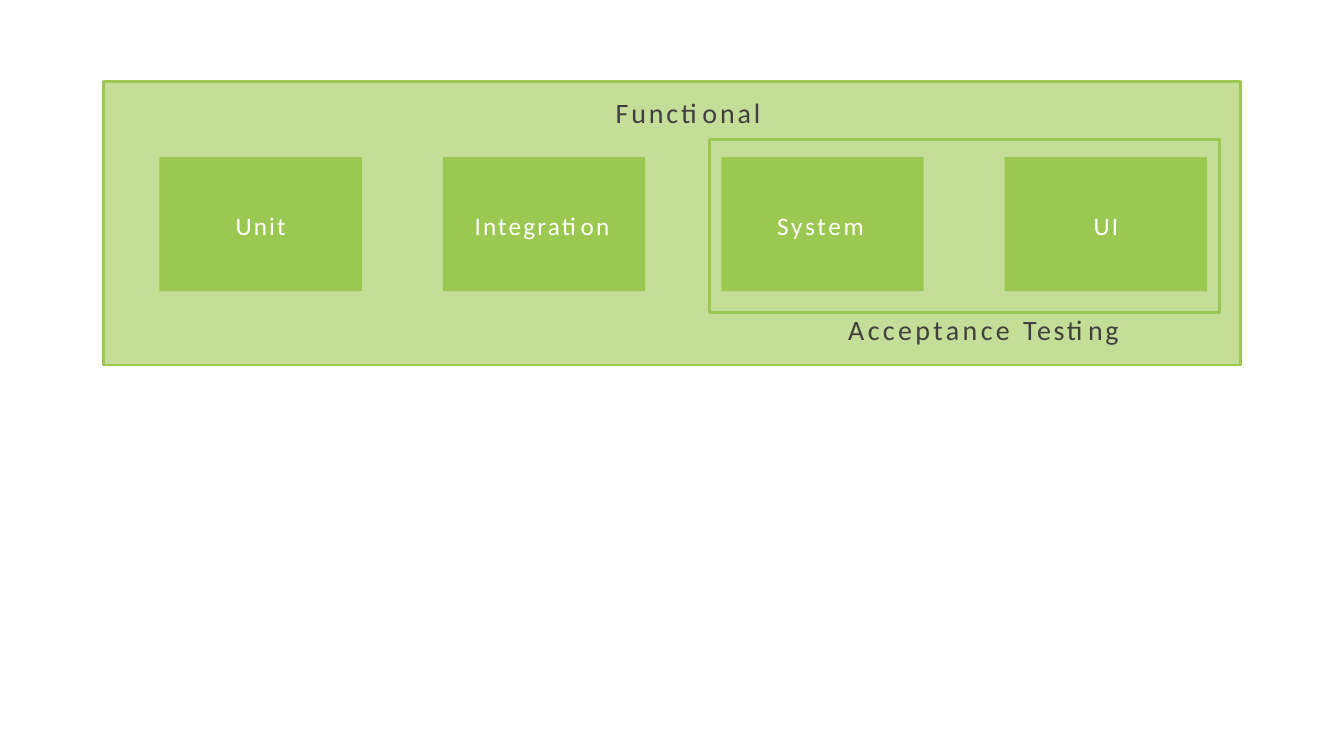
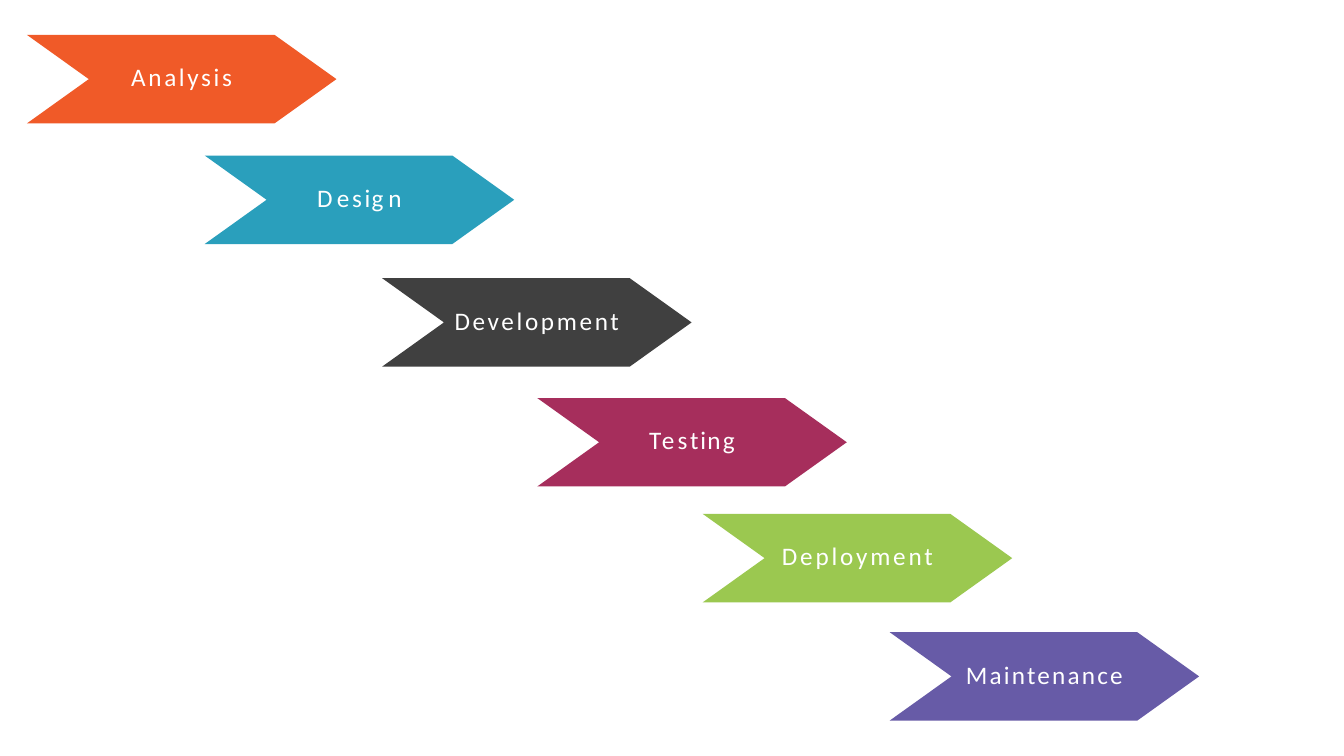
from pptx import Presentation
from pptx import util as u
from pptx.dml.color import RGBColor
from pptx.enum import shapes, text

GREEN = RGBColor(0x9B, 0xC8, 0x50)
PALE_GREEN = RGBColor(0xC3, 0xDE, 0x96)
ORANGE = RGBColor(0xF0, 0x5A, 0x28)
TEAL = RGBColor(0x2A, 0x9F, 0xBC)
CHARCOAL = RGBColor(0x40, 0x40, 0x40)
CRIMSON = RGBColor(0xA6, 0x2E, 0x5C)
PURPLE = RGBColor(0x67, 0x5B, 0xA7)
WHITE = RGBColor(0xFF, 0xFF, 0xFF)

FONT = "Calibri"
RECTANGLE = shapes.MSO_SHAPE.RECTANGLE
CHEVRON = shapes.MSO_SHAPE.CHEVRON

# Every text is a list of (letters, spacing in points).
FUNCTIONAL = [("Functional", 2)]
ACCEPTANCE = [("Acceptance ", 2.4), ("Testing", 1.9)]

# text, right margin in cm
LEVELS = [
    ([("Unit", 1.5)], 0),
    ([("Integration", 1.6)], 0.1),
    ([("System", 2)], 0.1),
    ([("UI", 1.6)], 0),
]

DESIGN = [("D", 3), ("es", 1.9), ("i", 0.9), ("g", 3.5), ("n", 1.7)]
TESTING = [("T", 0.2), ("e", 2.4), ("s", 1.8), ("t", 1.3), ("i", 0.9),
           ("n", 1.6), ("g", 3.5)]

# text, colour, left and top in cm
PHASES = [
    ([("Analysis", 1.9)], ORANGE, 0.68, 0.88),
    (DESIGN, TEAL, 5.16, 3.92),
    ([("Development", 1.9)], CHARCOAL, 9.63, 7.01),
    (TESTING, CRIMSON, 13.54, 10.03),
    ([("Deployment", 2)], GREEN, 17.71, 12.95),
    ([("Maintenance", 1.6)], PURPLE, 22.42, 15.93),
]


def write(shape, pieces, size=18, color=WHITE, right=0, top=0, bottom=0):
    """Put one centred, letter-spaced line in a shape; margins are in cm."""
    frame = shape.text_frame
    frame.margin_left, frame.margin_right = 0, u.Cm(right)
    frame.margin_top, frame.margin_bottom = u.Cm(top), u.Cm(bottom)
    frame.word_wrap = False
    frame.vertical_anchor = text.MSO_ANCHOR.MIDDLE
    para = frame.paragraphs[0]
    para.alignment = text.PP_ALIGN.CENTER
    para.font.name = FONT
    para.font.size = u.Pt(size)
    para.font.color.rgb = color
    for letters, spacing in pieces:
        span = para.add_run()
        span.text = letters
        span._r.get_or_add_rPr().set("spc", str(round(spacing * 100)))


def add_block(page, kind, left, top, width, height, fill=None, line=None):
    block = page.shapes.add_shape(
        kind, u.Cm(left), u.Cm(top), u.Cm(width), u.Cm(height))
    block.shadow.inherit = False
    if fill is None:
        block.fill.background()
    else:
        block.fill.solid()
        block.fill.fore_color.rgb = fill
    if line is None:
        block.line.fill.background()
    else:
        block.line.color.rgb = line
        block.line.width = u.Pt(2)
    return block


def add_label(page, left, top, width, pieces):
    label = page.shapes.add_textbox(
        u.Cm(left), u.Cm(top), u.Cm(width), u.Cm(0.9))
    write(label, pieces, size=20, color=CHARCOAL)


def add_test_levels(page, left, top, width, height):
    """Panel of four test levels, the last two framed as acceptance tests."""
    add_block(page, RECTANGLE, left, top, width, height, PALE_GREEN, GREEN)
    add_label(page, left + 0.41, top + 0.33, width, FUNCTIONAL)

    box_step, pair_step = 7.14, 14.16
    for index, (pieces, right) in enumerate(LEVELS):
        pair, member = divmod(index, 2)
        box_left = left + 1.42 + pair * pair_step + member * box_step
        box = add_block(page, RECTANGLE, box_left, top + 1.9, 5.1, 3.38, GREEN)
        write(box, pieces, right=right, top=0.05)

    frame_left, frame_width = left + 15.28, 12.85
    add_block(page, RECTANGLE, frame_left, top + 1.46, frame_width, 4.36,
              line=GREEN)
    add_label(page, frame_left + 0.48, top + 5.79, frame_width, ACCEPTANCE)


def add_phase(page, left, top, pieces, color):
    width, height, point = 7.8, 2.23, 1.56
    arrow = add_block(page, CHEVRON, left, top, width, height, color)
    arrow.adjustments[0] = point / height
    write(arrow, pieces, bottom=0.12)


def main():
    deck = Presentation()
    deck.slide_width, deck.slide_height = u.Cm(33.87), u.Cm(19.05)
    blank = deck.slide_layouts[6]

    add_test_levels(deck.slides.add_slide(blank), 2.6, 2.06, 28.66, 7.14)

    phases_page = deck.slides.add_slide(blank)
    for pieces, color, left, top in PHASES:
        add_phase(phases_page, left, top, pieces, color)

    deck.save("out.pptx")


if __name__ == "__main__":
    main()
